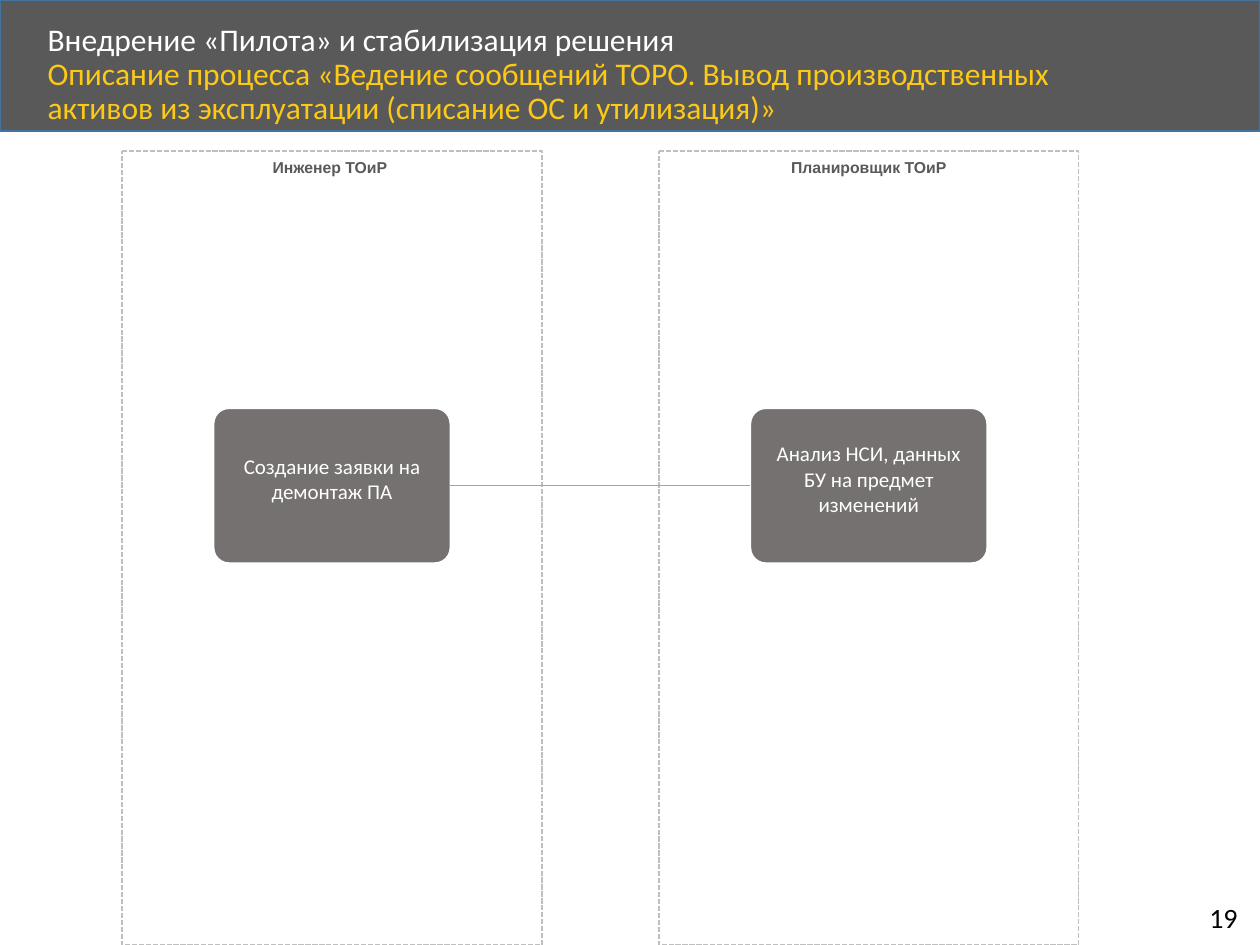
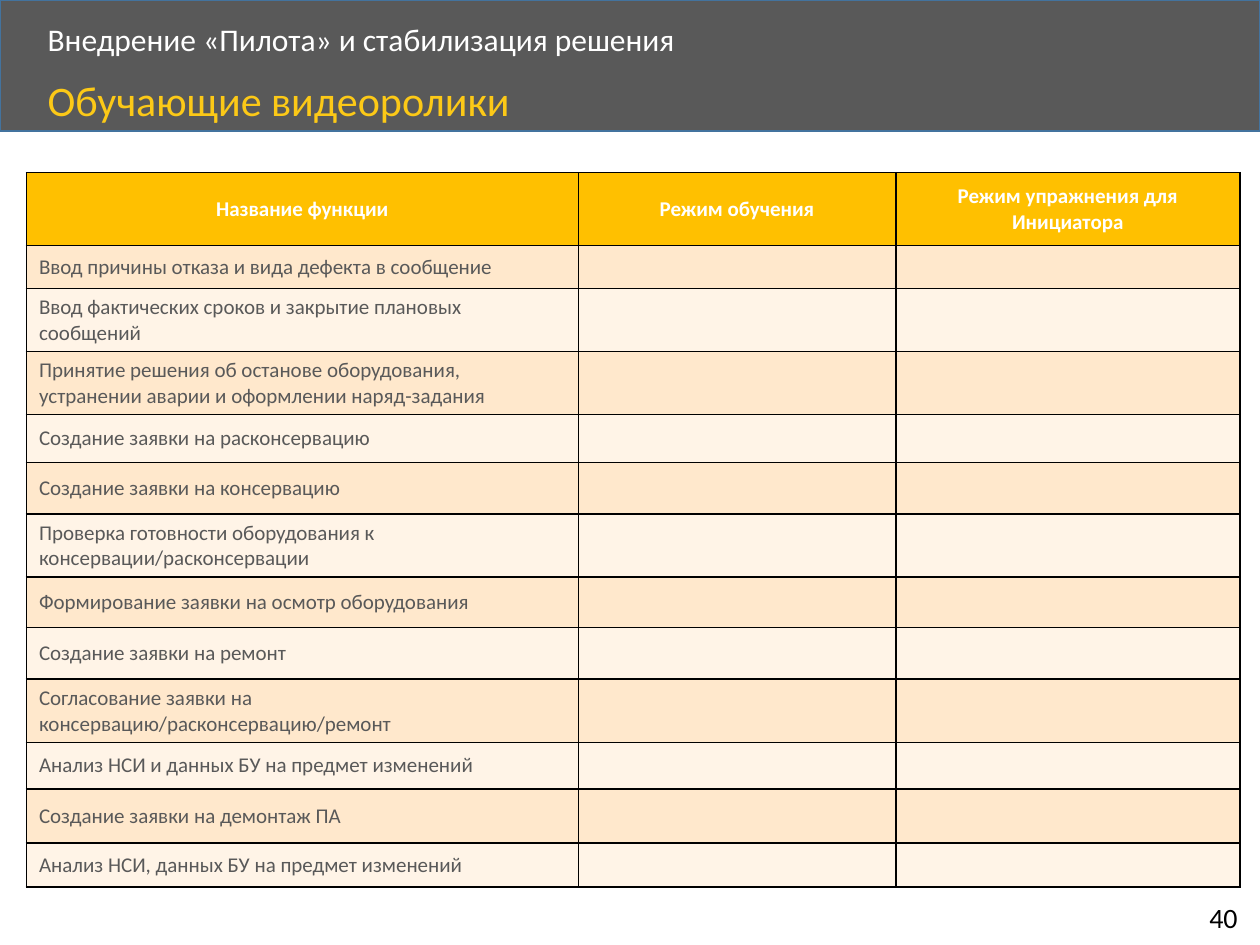
from collections import namedtuple

from lxml import etree
from pptx import Presentation
from pptx.dml.color import RGBColor
from pptx.enum.dml import MSO_LINE_DASH_STYLE as Dash
from pptx.enum.shapes import MSO_CONNECTOR as Connector, MSO_SHAPE as Shape
from pptx.enum.text import MSO_ANCHOR as Anchor, PP_ALIGN as Align
from pptx.oxml.ns import qn
from pptx.util import Inches, Pt

WHITE = RGBColor(0xFF, 0xFF, 0xFF)
BLACK = RGBColor(0, 0, 0)
GRAPHITE = RGBColor(0x59, 0x59, 0x59)
BAND_EDGE = RGBColor(0x43, 0x73, 0x9E)
YELLOW = RGBColor(0xFC, 0xC9, 0x17)
CARD_GREY = RGBColor(0x76, 0x71, 0x71)
LANE_EDGE = RGBColor(0xBF, 0xBF, 0xBF)
LINK_GREY = RGBColor(0xA5, 0xA5, 0xA5)
HEADER_FILL = RGBColor(0xFF, 0xC0, 0x00)
ROW_FILLS = RGBColor(0xFF, 0xE8, 0xCC), RGBColor(0xFF, 0xF4, 0xE7)

Box = namedtuple("Box", "left top width height")
PAGE = Box(0, 0, 10, 7.5)
BAND = Box(0, 0, PAGE.width, 1.04)
LANES = Box(0.97, 1.2, 7.59, 6.3)
TABLE = Box(0.21, 1.37, 9.63, 5.68)

SECTION = "Внедрение «Пилота» и стабилизация решения"
PROCESS = ("Описание процесса «Ведение сообщений ТОРО. Вывод производственных "
           "активов из эксплуатации (списание ОС и утилизация)»")
# Role, its step and the number of lines the step takes
STEPS = [
    ("Инженер ТОиР ", "Создание заявки на демонтаж ПА", 2),
    ("Планировщик ТОиР", "Анализ НСИ, данных БУ на предмет изменений", 3),
]
COLUMNS = [
    ("Название функции", 4.38),
    ("Режим обучения", 2.52),
    ("Режим упражнения для Инициатора", 2.73),
]
HEADER_HEIGHT = 0.58
FUNCTIONS = [
    ("Ввод причины отказа и вида дефекта в сообщение", 0.34),
    ("Ввод фактических сроков и закрытие плановых сообщений", 0.5),
    ("Принятие решения об останове оборудования, устранении аварии "
     "и оформлении наряд-задания", 0.5),
    ("Создание заявки на расконсервацию", 0.38),
    ("Создание заявки на консервацию", 0.41),
    ("Проверка готовности оборудования к консервации/расконсервации", 0.5),
    ("Формирование заявки на осмотр оборудования", 0.4),
    ("Создание заявки на ремонт", 0.41),
    ("Согласование заявки на консервацию/расконсервацию/ремонт", 0.5),
    ("Анализ НСИ и данных БУ на предмет изменений", 0.37),
    ("Создание заявки на демонтаж ПА", 0.43),
    ("Анализ НСИ, данных БУ на предмет изменений", 0.35),
]


def inches(box):
    return [Inches(length) for length in box]


def write(frame, text, size, color, align=Align.LEFT, anchor=Anchor.TOP,
          spacing=None, wrap=True, **font):
    frame.word_wrap = wrap
    frame.vertical_anchor = anchor
    para = frame.paragraphs[0]
    para.alignment = align
    if spacing:
        para.line_spacing = spacing
    span = para.add_run()
    span.text = text
    span.font.color.rgb = color
    style = {"name": "Calibri", "size": Pt(size), "bold": False} | font
    for name, value in style.items():
        setattr(span.font, name, value)


def add_text(page, box, *args, **style):
    frame = page.shapes.add_textbox(*inches(box)).text_frame
    write(frame, *args, **style)


def add_panel(page, kind, box, fill, edge, corner=None):
    panel = page.shapes.add_shape(kind, *inches(box))
    panel.shadow.inherit = False
    if corner is not None:
        panel.adjustments[0] = corner
    if fill is None:
        panel.fill.background()
    else:
        panel.fill.solid()
        panel.fill.fore_color.rgb = fill
    panel.line.color.rgb = edge
    panel.line.width = Pt(1)
    return panel


def add_page(deck, title, title_size, title_top, number):
    """Blank page with the title band and the page number."""
    page = deck.slides.add_slide(deck.slide_layouts[6])
    add_panel(page, Shape.RECTANGLE, BAND, GRAPHITE, BAND_EDGE)
    add_text(page, Box(0.28, 0.14, 8.07, 0.38), SECTION, 18, WHITE,
             anchor=Anchor.MIDDLE, spacing=0.9)
    add_text(page, Box(0.28, title_top, 8.67, 0.45), title, title_size, YELLOW,
             spacing=0.9)
    add_text(page, Box(PAGE.width - 0.5, PAGE.height - 0.4, 0.46, 0.37),
             str(number), 16, BLACK, wrap=False)
    return page


def add_lane(page, lane, role, step, lines):
    """Dashed lane with a role name and one step card; returns the card's box."""
    panel = add_panel(page, Shape.ROUNDED_RECTANGLE, lane, None, LANE_EDGE, 0)
    panel.line.dash_style = Dash.SQUARE_DOT
    write(panel.text_frame, role, 9, GRAPHITE, Align.CENTER, name="Arial", bold=True)

    width = 1.88
    card = Box(lane.left + (lane.width - width) / 2, lane.top + 2.04, width, 1.23)
    add_panel(page, Shape.ROUNDED_RECTANGLE, card, CARD_GREY, WHITE, 0.1)
    height = 0.1 + 0.2 * lines
    add_text(page, Box(card.left + 0.08, card.top + 0.56 - height / 2,
                       width - 0.16, height), step, 12, WHITE, Align.CENTER)
    return card


def add_link(page, start, end):
    """Thin line from the right side of one card to the left side of the next."""
    middle = start.top + start.height / 2
    link = page.shapes.add_connector(
        Connector.STRAIGHT, Inches(start.left + start.width), Inches(middle),
        Inches(end.left), Inches(middle))
    link.line.color.rgb = LINK_GREY
    link.line.width = Pt(0.5)
    etree.SubElement(link._element.spPr, qn("a:effectLst"))


def add_process(page, box):
    gap = 0.93
    width = (box.width - gap) / 2
    cards = [add_lane(page, Box(box.left + index * (width + gap), box.top,
                                width, box.height), *step)
             for index, step in enumerate(STEPS)]
    add_link(page, *cards)


def add_borders(cell):
    props = cell._tc.get_or_add_tcPr()
    for index, side in enumerate(("lnL", "lnR", "lnT", "lnB")):
        edge = etree.Element(qn(f"a:{side}"), w=str(Pt(1)))
        fill = etree.SubElement(edge, qn("a:solidFill"))
        etree.SubElement(fill, qn("a:srgbClr"), val=str(BLACK))
        props.insert(index, edge)


def fill_cell(cell, text, fill, color, **style):
    cell.fill.solid()
    cell.fill.fore_color.rgb = fill
    add_borders(cell)
    if text:
        write(cell.text_frame, text, 12, color, **style)
        cell.vertical_anchor = Anchor.MIDDLE
    else:
        # Keeps an empty cell from stretching its row
        para = cell.text_frame.paragraphs[0]
        etree.SubElement(para._p, qn("a:endParaRPr"), sz="1200")


def add_functions(page, box):
    """Table of functions with an empty cell for each mode."""
    table = page.shapes.add_table(len(FUNCTIONS) + 1, len(COLUMNS), *inches(box)).table
    heights = [HEADER_HEIGHT] + [height for _, height in FUNCTIONS]
    for row, height in zip(table.rows, heights):
        row.height = Inches(height)
    for index, (heading, width) in enumerate(COLUMNS):
        table.columns[index].width = Inches(width)
        fill_cell(table.cell(0, index), heading, HEADER_FILL, WHITE,
                  align=Align.CENTER, bold=True)
        for row, (function, _) in enumerate(FUNCTIONS, 1):
            fill_cell(table.cell(row, index), function if index == 0 else "",
                      ROW_FILLS[(row - 1) % 2], GRAPHITE)


def main():
    deck = Presentation()
    deck.slide_width, deck.slide_height = Inches(PAGE.width), Inches(PAGE.height)
    add_process(add_page(deck, PROCESS, 18, 0.41, 19), LANES)
    add_functions(add_page(deck, "Обучающие видеоролики", 24, 0.59, 40), TABLE)
    deck.save("out.pptx")


if __name__ == "__main__":
    main()
